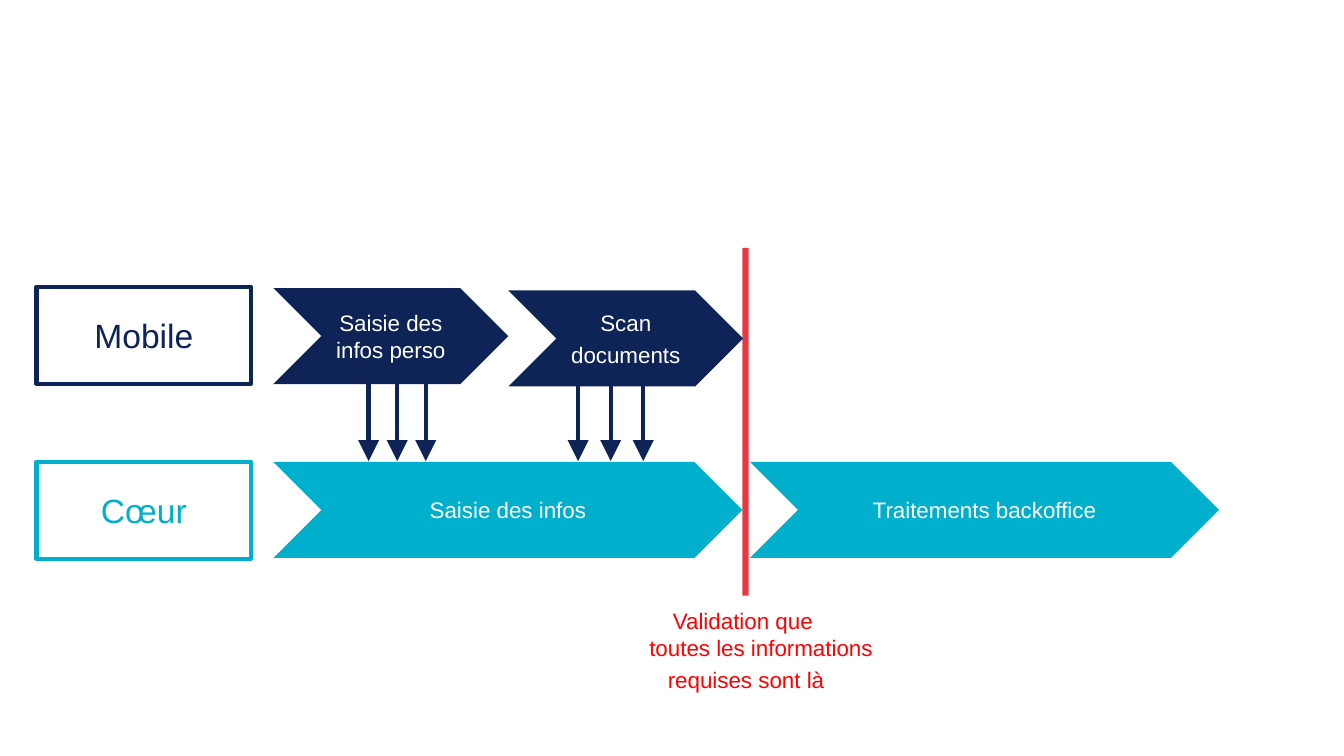
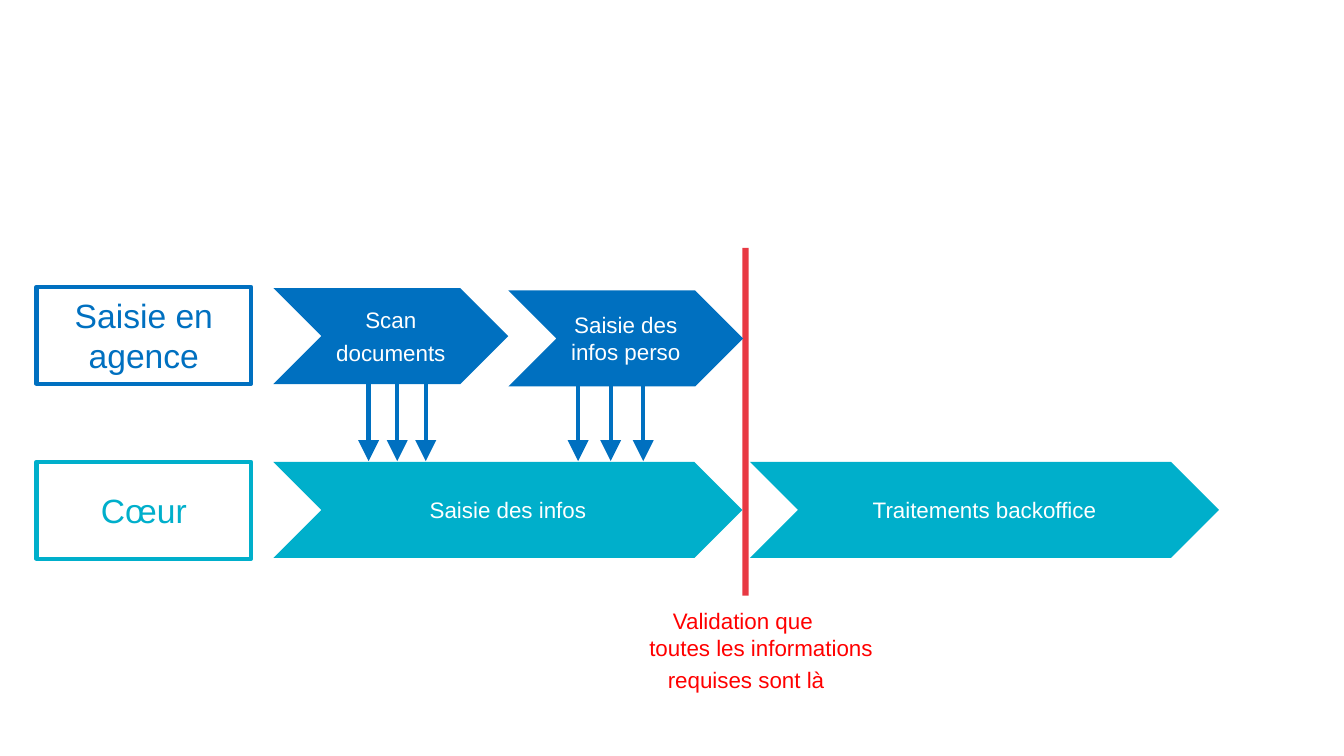
from dataclasses import dataclass

from lxml.etree import SubElement
from pptx import Presentation
from pptx.dml.color import RGBColor
from pptx.enum.shapes import MSO_CONNECTOR, MSO_SHAPE as SHAPE
from pptx.enum.text import MSO_ANCHOR, PP_ALIGN
from pptx.oxml.ns import qn
from pptx.util import Cm, Pt

NAVY, BLUE, TEAL = "0E2356", "0070C0", "00AFCB"
WHITE, BAR_RED, TEXT_RED = "FFFFFF", "E83943", "FF0000"
FONT, LABEL_SIZE, STEP_SIZE = "Arial", 24, 16
LINE_WIDTH = Pt(3)

LABEL_TOP, CHANNEL_TOP, CORE_TOP = 7.23, 7.26, 11.64
LABEL_LEFT, LABEL_WIDTH, LABEL_HEIGHT = 0.92, 5.41, 2.44
STEP_LEFT, STEP_WIDTH, STEP_HEIGHT = 6.89, 5.92, 2.42
SECOND_STEP_DROP = 0.06
CORE_WIDTH = 2 * STEP_WIDTH - 0.02
BAR_LEFT, BAR_TOP, BAR_WIDTH, BAR_HEIGHT = 18.71, 6.25, 0.16, 8.76
BACKOFFICE_LEFT = 18.9
ARROW_TOP, ARROW_BOTTOM = 9.66, 11.62
NOTE_LEFT, NOTE_TOP, NOTE_WIDTH, NOTE_HEIGHT = 14.8, 15.11, 8, 2.54
NOTE_INDENT = Cm(0.76)

PERSONAL_INFO = ("Saisie des infos perso",)
SCAN = ("Scan", "documents")


@dataclass(frozen=True)
class Box:
    """A preset shape, in centimetres, with optional text."""
    kind: SHAPE
    left: float
    top: float
    width: float
    height: float
    fill: str | None = None
    line: str | None = None
    lines: tuple[str, ...] = ()
    size: int = STEP_SIZE
    color: str = WHITE


@dataclass(frozen=True)
class ArrowGroup:
    """Three equally spaced arrows from a channel step to the core."""
    left: float
    gap: float


@dataclass(frozen=True)
class Channel:
    """An entry channel: its name, colour and two steps."""
    name: str
    color: str
    steps: tuple[tuple[str, ...], tuple[str, ...]]


ARROW_GROUPS = (ArrowGroup(9.29, 0.72), ArrowGroup(14.57, 0.82))
CHANNELS = (
    Channel("Mobile", NAVY, (PERSONAL_INFO, SCAN)),
    Channel("Saisie en agence", BLUE, (SCAN, PERSONAL_INFO)),
)


def rgb(value: str) -> RGBColor:
    """Turn a hex string into a colour."""
    return RGBColor.from_string(value)


def write(tf, lines: tuple[str, ...], size: int, color: str) -> None:
    """Write centred paragraphs in the shared text style."""
    tf.word_wrap = True
    tf.vertical_anchor = MSO_ANCHOR.MIDDLE
    style = {"name": FONT, "size": Pt(size)}
    for i, line in enumerate(lines):
        p = tf.add_paragraph() if i else tf.paragraphs[0]
        p.text = line
        p.alignment = PP_ALIGN.CENTER
        p.space_before = Pt(3.8)
        for r in p.runs:
            for key, value in style.items():
                setattr(r.font, key, value)
            r.font.color.rgb = rgb(color)


def draw_box(s, box: Box) -> None:
    """Draw one shape with its fill, outline and text."""
    sp = s.shapes.add_shape(box.kind, Cm(box.left), Cm(box.top),
                            Cm(box.width), Cm(box.height))
    sp.shadow.inherit = False
    if box.fill:
        sp.fill.solid()
        sp.fill.fore_color.rgb = rgb(box.fill)
    else:
        sp.fill.background()
    if box.line:
        sp.line.color.rgb = rgb(box.line)
        sp.line.width = LINE_WIDTH
    else:
        sp.line.fill.background()
    if box.lines:
        write(sp.text_frame, box.lines, box.size, box.color)


def draw_label(s, name: str, top: float, color: str) -> None:
    """Draw the outlined name of a row."""
    draw_box(s, Box(SHAPE.RECTANGLE, LABEL_LEFT, top, LABEL_WIDTH, LABEL_HEIGHT,
                    line=color, lines=(name,), size=LABEL_SIZE, color=color))


def draw_step(s, lines: tuple[str, ...], left: float, top: float,
              width: float, color: str) -> None:
    """Draw a filled chevron for a process step."""
    draw_box(s, Box(SHAPE.CHEVRON, left, top, width, STEP_HEIGHT,
                    fill=color, lines=lines))


def draw_arrows(s, group: ArrowGroup, color: str) -> None:
    """Draw a group of downward arrows with large heads."""
    for i in range(3):
        x = Cm(group.left + i * group.gap)
        arrow = s.shapes.add_connector(MSO_CONNECTOR.STRAIGHT, x, Cm(ARROW_TOP),
                                       x, Cm(ARROW_BOTTOM))
        arrow.line.color.rgb = rgb(color)
        arrow.line.width = LINE_WIDTH
        SubElement(arrow.line._get_or_add_ln(), qn("a:tailEnd"),
                   type="triangle", w="lg", len="lg")
        SubElement(arrow._element.spPr, qn("a:effectLst"))


def draw_validation(s) -> None:
    """Write the condition under the validation bar."""
    tf = s.shapes.add_textbox(Cm(NOTE_LEFT), Cm(NOTE_TOP), Cm(NOTE_WIDTH),
                              Cm(NOTE_HEIGHT)).text_frame
    write(tf, ("Validation que \vtoutes les informations", "requises sont là"),
          STEP_SIZE, TEXT_RED)
    for p in tf.paragraphs:
        props = p._p.get_or_add_pPr()
        props.set("marL", str(NOTE_INDENT))
        props.set("indent", str(-NOTE_INDENT))


def build_slide(prs, channel: Channel) -> None:
    """Build the process slide of one channel."""
    s = prs.slides.add_slide(prs.slide_layouts[6])
    draw_step(s, ("Saisie des infos",), STEP_LEFT, CORE_TOP, CORE_WIDTH, TEAL)
    draw_label(s, "Cœur", CORE_TOP, TEAL)
    draw_label(s, channel.name, LABEL_TOP, channel.color)
    for group in ARROW_GROUPS:
        draw_arrows(s, group, channel.color)
    draw_box(s, Box(SHAPE.RECTANGLE, BAR_LEFT, BAR_TOP, BAR_WIDTH, BAR_HEIGHT,
                    fill=BAR_RED))
    for i, lines in enumerate(channel.steps):
        draw_step(s, lines, STEP_LEFT + i * STEP_WIDTH,
                  CHANNEL_TOP + i * SECOND_STEP_DROP, STEP_WIDTH, channel.color)
    draw_step(s, ("Traitements backoffice",), BACKOFFICE_LEFT, CORE_TOP,
              CORE_WIDTH, TEAL)
    draw_validation(s)


def main() -> None:
    """Build and save the presentation."""
    prs = Presentation()
    prs.slide_width, prs.slide_height = Cm(33.87), Cm(19.05)
    for channel in CHANNELS:
        build_slide(prs, channel)
    prs.save("out.pptx")


main()
